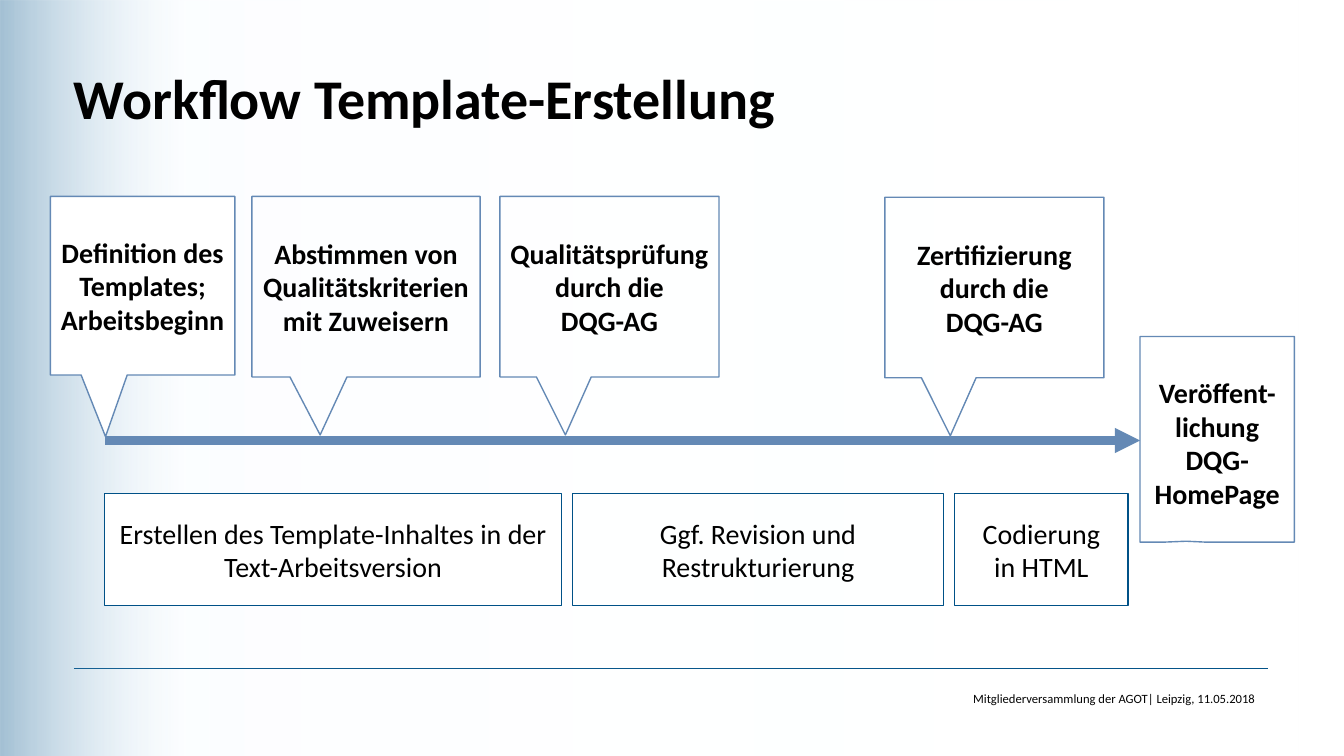
from lxml import etree
from pptx import Presentation
from pptx.dml.color import RGBColor
from pptx.enum.shapes import MSO_CONNECTOR, MSO_SHAPE
from pptx.enum.text import MSO_ANCHOR, PP_ALIGN
from pptx.oxml import parse_xml
from pptx.oxml.ns import nsdecls, qn
from pptx.util import Cm, Pt

RECT = MSO_SHAPE.RECTANGLE
BUBBLE = MSO_SHAPE.RECTANGULAR_CALLOUT
STRAIGHT = MSO_CONNECTOR.STRAIGHT
MIDDLE = MSO_ANCHOR.MIDDLE
LEFT, CENTER, RIGHT = PP_ALIGN.LEFT, PP_ALIGN.CENTER, PP_ALIGN.RIGHT

WIDTH, HEIGHT = 33.87, 19.05
BLACK, WHITE, NAVY, STEEL = "000000", "FFFFFF", "005187", "6489B5"
FADE = [(0, NAVY, 36), (14, "CBEAFF", 5), (100, WHITE, 0)]
STEPS = [
    (1.27, 4.95, 4.65, 4.5, 0.845, WHITE,
     ["Definition des Templates;", "Arbeitsbeginn"]),
    (6.35, 4.95, 5.75, 4.55, 0.821, None,
     ["Abstimmen von Qualitätskriterien mit Zuweisern"]),
    (12.6, 4.95, 5.52, 4.55, 0.821, None,
     ["Qualitätsprüfung durch die", "DQG-AG"]),
    (22.3, 4.97, 5.52, 4.55, 0.821, None,
     ["Zertifizierung durch die", "DQG-AG"]),
    (28.73, 8.48, 3.89, 5.18, 0.496, None,
     ["Veröffent-lichung", "DQG-HomePage"]),
]
TASKS = [
    (11.51, WHITE, ["Erstellen des Template-Inhaltes in der Text-Arbeitsversion"]),
    (9.35, None, ["Ggf. Revision und Restrukturierung"]),
    (4.37, None, ["Codierung", "in HTML"]),
]


def color(code):
    return RGBColor.from_string(code)


def write(frame, lines, size, bold=False, align=CENTER):
    frame.word_wrap = True
    frame.vertical_anchor = MIDDLE
    for index, line in enumerate(lines):
        para = frame.paragraphs[0] if index == 0 else frame.add_paragraph()
        para.text = line
        para.alignment = align
        para.font.name = "Calibri"
        para.font.size = Pt(size)
        para.font.bold = bold
        para.font.color.rgb = color(BLACK)


def label(slide, left, top, width, height, text, size, bold, align):
    box = slide.shapes.add_textbox(Cm(left), Cm(top), Cm(width), Cm(height))
    write(box.text_frame, [text], size, bold, align)
    return box.text_frame


def box(slide, kind, left, top, width, height, fill, edge):
    shape = slide.shapes.add_shape(kind, Cm(left), Cm(top), Cm(width), Cm(height))
    shape.shadow.inherit = False
    if fill:
        shape.fill.solid()
        shape.fill.fore_color.rgb = color(fill)
    else:
        shape.fill.background()
    if edge:
        shape.line.color.rgb = color(edge)
        shape.line.width = Pt(1)
    else:
        shape.line.fill.background()
    return shape


def fade(slide):
    shape = box(slide, RECT, 0, 0, WIDTH, HEIGHT, None, None)
    stops = "".join(
        f'<a:gs pos="{pos * 1000}"><a:srgbClr val="{code}">'
        f'<a:alpha val="{alpha * 1000}"/></a:srgbClr></a:gs>'
        for pos, code, alpha in FADE)
    grad = parse_xml(f'<a:gradFill {nsdecls("a")} rotWithShape="1">'
                     f'<a:gsLst>{stops}</a:gsLst><a:lin ang="0" scaled="0"/></a:gradFill>')
    props = shape.element.spPr
    props.replace(props.find(qn("a:noFill")), grad)


def rule(slide, start, end, top, code, width, arrow=False):
    line = slide.shapes.add_connector(STRAIGHT, Cm(start), Cm(top), Cm(end), Cm(top))
    line.line.color.rgb = color(code)
    line.line.width = Pt(width)
    props = line.element.spPr
    if arrow:
        etree.SubElement(props.find(qn("a:ln")), qn("a:tailEnd"), type="triangle")
    etree.SubElement(props, qn("a:effectLst"))


def step(slide, left, top, width, height, tip, fill, lines):
    shape = box(slide, BUBBLE, left, top, width, height, fill, STEEL)
    shape.adjustments[0] = -0.201
    shape.adjustments[1] = tip
    write(shape.text_frame, lines, 20, True)
    return shape.text_frame


def tasks(slide, left, gap):
    for width, fill, lines in TASKS:
        shape = box(slide, RECT, left, 12.44, width, 2.82, fill, NAVY)
        write(shape.text_frame, lines, 20)
        left += width + gap


def main():
    deck = Presentation()
    deck.slide_width, deck.slide_height = Cm(WIDTH), Cm(HEIGHT)
    slide = deck.slides.add_slide(deck.slide_layouts[6])
    label(slide, 20.57, 17.27, 11.3, 0.64,
          "Mitgliederversammlung der AGOT| Leipzig, 11.05.2018", 9, False, RIGHT)
    rule(slide, 1.86, 31.95, 16.84, NAVY, 0.5)
    fade(slide)
    title = label(slide, 1.86, 1.4, 31.09, 2.11,
                  "Workflow Template-Erstellung", 40, True, LEFT)
    title.margin_left = 0
    rule(slide, 2.64, 28.73, 11.1, STEEL, 6, True)
    frames = [step(slide, *data) for data in STEPS]
    frames[-1].margin_top = Cm(0.3)
    tasks(slide, 2.64, 0.28)
    deck.save("out.pptx")


if __name__ == "__main__":
    main()
